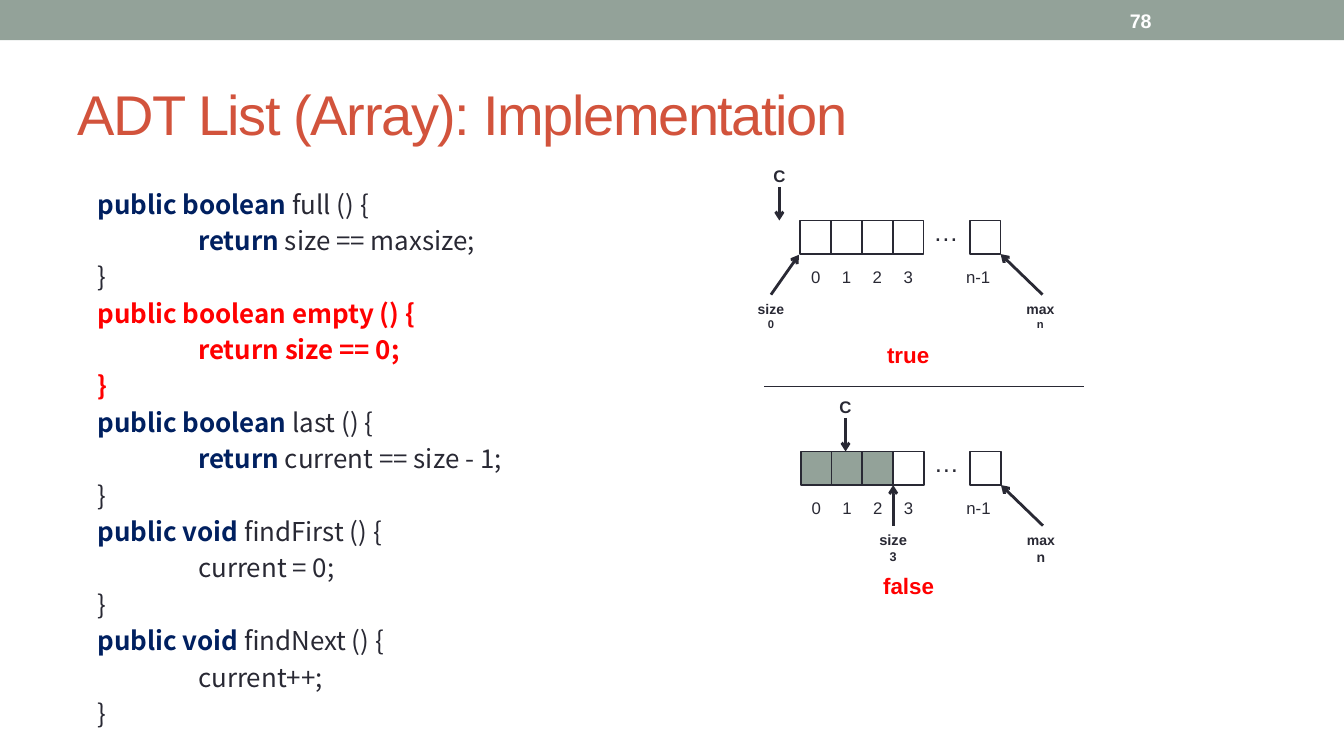
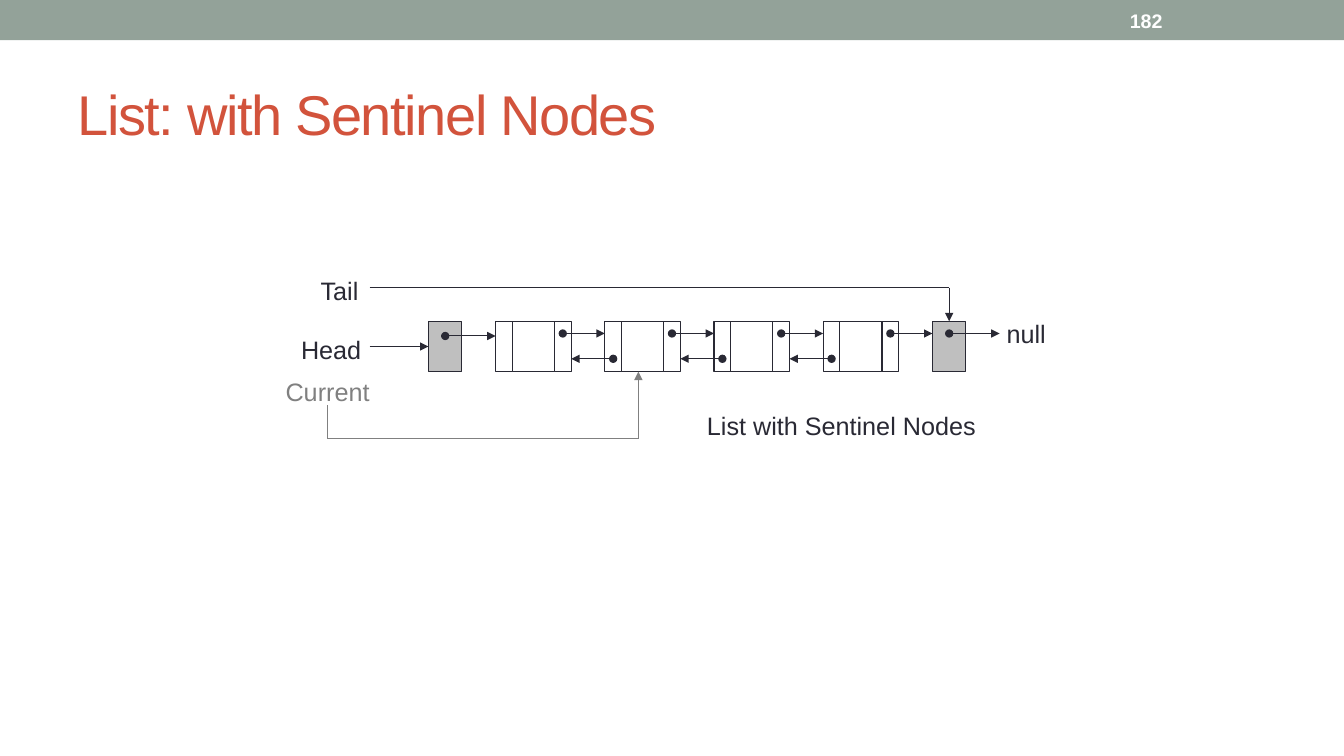
from dataclasses import dataclass
from itertools import pairwise

from lxml.etree import SubElement
from pptx import Presentation
from pptx.dml.color import RGBColor
from pptx.enum.shapes import MSO_CONNECTOR, MSO_SHAPE
from pptx.enum.text import MSO_ANCHOR, MSO_AUTO_SIZE, PP_ALIGN
from pptx.oxml.ns import qn
from pptx.util import Pt


@dataclass(frozen=True)
class Theme:
    ink: RGBColor = RGBColor.from_string("292934")
    sage: RGBColor = RGBColor.from_string("93A299")
    title: RGBColor = RGBColor.from_string("D2533C")
    keyword: RGBColor = RGBColor.from_string("002060")
    accent: RGBColor = RGBColor.from_string("FF0000")
    gray: RGBColor = RGBColor.from_string("808080")
    sentinel: RGBColor = RGBColor.from_string("BFBFBF")
    white: RGBColor = RGBColor.from_string("FFFFFF")
    font: str = "Arial"
    code_font: str = "Noto Sans CJK SC"
    title_size: float = 40
    code_size: float = 18.5
    code_pitch: float = 26
    node_size: float = 18
    verdict_size: float = 16
    number_size: float = 14
    index_size: float = 12
    thin: float = 0.75
    cell_line: float = 1.25
    thick: float = 2


THEME = Theme()


@dataclass(frozen=True)
class ArrayState:
    """One state of the array list; points are relative to its first cell."""
    filled: int
    current: float
    size_from: tuple
    size_to: tuple
    size_lines: list
    max_lines: list
    verdict: str


EMPTY = ArrayState(0, -15, (-21, 53), (-1, 24.5), [("size", 10), ("0", 8)],
                   [("max", 10), ("n", 8)], "true")
THREE = ArrayState(3, 32, (66, 53), (66, 24), [("size", 10.5), ("3", 9)],
                   [("max", 10), ("n", 10)], "false")

# Indent level, keyword, rest of the line
CODE = [
    (0, "public boolean ", "full () {"),
    (1, "return", " size == maxsize;"),
    (0, "", "}"),
    (0, "public boolean ", "empty () {"),
    (1, "return", " size == 0;"),
    (0, "", "}"),
    (0, "public boolean ", "last () {"),
    (1, "return", " current == size - 1;"),
    (0, "", "}"),
    (0, "public void ", "findFirst () {"),
    (1, "", "current = 0;"),
    (0, "", "}"),
    (0, "public void ", "findNext () {"),
    (1, "", "current++;"),
    (0, "", "}"),
]
HIGHLIGHTED = range(3, 6)


def place(shape, left, top, width, height):
    shape.left, shape.top = Pt(left), Pt(top)
    shape.width, shape.height = Pt(width), Pt(height)


def style(font, size, color, bold=False, name=THEME.font):
    font.size, font.name, font.bold = Pt(size), name, bold
    font.color.rgb = color


def add_rectangle(page, left, top, width, height, fill, weight=None):
    box = page.shapes.add_shape(MSO_SHAPE.RECTANGLE, Pt(left), Pt(top), Pt(width), Pt(height))
    box.shadow.inherit = False
    box.fill.solid()
    box.fill.fore_color.rgb = fill
    if weight:
        box.line.color.rgb = THEME.ink
        box.line.width = Pt(weight)
    else:
        box.line.fill.background()
    return box


def add_line(page, start, end, weight=THEME.thin, color=THEME.ink, head=None, tail=None, target=None):
    """Draw a line; target is an optional (shape, side) to which its end is joined."""
    line = page.shapes.add_connector(MSO_CONNECTOR.STRAIGHT, *(Pt(value) for value in start + end))
    line.line.color.rgb = color
    line.line.width = Pt(weight)
    for tag, kind in (("a:headEnd", head), ("a:tailEnd", tail)):
        if kind:
            SubElement(line.get_or_add_ln(), qn(tag), type=kind)
    SubElement(line.element.spPr, qn("a:effectLst"))
    if target:
        line.end_connect(*target)


def add_path(page, points, color=THEME.ink, target=None):
    """Draw straight segments through the points, with an arrowhead on the last."""
    *first, last = pairwise(points)
    for start, end in first:
        add_line(page, start, end, color=color)
    add_line(page, *last, color=color, tail="triangle", target=target)


def add_label(page, center, top, lines, color=THEME.ink, bold=False, width=60, align=PP_ALIGN.CENTER):
    """Write (text, size) lines in a box centred on the given abscissa."""
    height = sum(size * 1.15 for _, size in lines)
    box = page.shapes.add_textbox(Pt(center - width / 2), Pt(top), Pt(width), Pt(height))
    frame = box.text_frame
    frame.margin_left = frame.margin_right = frame.margin_top = frame.margin_bottom = 0
    frame.word_wrap = False
    frame.text = "\n".join(text for text, _ in lines)
    for para, (_, size) in zip(frame.paragraphs, lines):
        para.alignment = align
        style(para.font, size, color, bold)


def add_page(deck, layout, title, number):
    page = deck.slides.add_slide(deck.slide_layouts.get_by_name(layout))
    place(page.shapes.title, 48, 42, 864, 78)
    frame = page.shapes.title.text_frame
    frame.auto_size = MSO_AUTO_SIZE.NONE
    frame.vertical_anchor = MSO_ANCHOR.MIDDLE
    para = frame.paragraphs[0]
    para.alignment = PP_ALIGN.LEFT
    style(para.font, THEME.title_size, THEME.title)
    span = para.add_run()
    span.text = title
    span._r.get_or_add_rPr().set("spc", "-100")
    add_label(page, 860, 6.4, [(number, THEME.number_size)], THEME.white, True, 106, PP_ALIGN.LEFT)
    return page


def add_master_band(deck, page):
    """Draw the top band on a page and move it to the back of the master."""
    band = add_rectangle(page, 0, 0, 960, 28.8, THEME.sage)
    band.element.nvSpPr.cNvPr.set("id", "99")
    deck.slide_master.element.cSld.spTree.insert(2, band.element)


def fill_code(body):
    place(body, 48, 127, 864, 384)
    frame = body.text_frame
    frame.auto_size = MSO_AUTO_SIZE.NONE
    for index, (level, keyword, rest) in enumerate(CODE):
        para = frame.paragraphs[0] if index == 0 else frame.add_paragraph()
        properties = para._p.get_or_add_pPr()
        properties.set("marL", str(Pt(14.4 + 72 * level)))
        properties.set("indent", "0")
        SubElement(properties, qn("a:buNone"))
        para.space_before = Pt(0)
        para.line_spacing = Pt(THEME.code_pitch)
        marked = index in HIGHLIGHTED
        style(para.font, THEME.code_size, THEME.accent if marked else THEME.ink, marked, THEME.code_font)
        if keyword and not marked:
            span = para.add_run()
            span.text = keyword
            span.font.bold = True
            span.font.color.rgb = THEME.keyword
            keyword = ""
        para.add_run().text = keyword + rest


def draw_array(page, left, top, state):
    pitch, height, last = 22, 24, 121
    offsets = [pitch * index for index in range(4)] + [last]
    for index, offset in enumerate(offsets):
        fill = THEME.sage if index < state.filled else THEME.white
        add_rectangle(page, left + offset, top, pitch, height, fill, THEME.cell_line)
    for name, offset in zip(["0", "1", "2", "3"], offsets):
        add_label(page, left + offset + pitch / 2, top + 33, [(name, THEME.index_size)], width=pitch)
    add_label(page, left + last + 6, top + 33, [("n-1", THEME.index_size)], width=pitch)
    add_label(page, left + 104, top - 3, [("…", THEME.node_size)], width=pitch)

    def arrow(start, end):
        add_line(page, (left + start[0], top + start[1]), (left + end[0], top + end[1]),
                 THEME.thick, tail="arrow")

    arrow((state.current, -24), (state.current, 0))
    arrow(state.size_from, state.size_to)
    arrow((173, 53), (143, height))
    add_label(page, left + state.current, top - 39, [("C", THEME.index_size)], bold=True, width=pitch)
    add_label(page, left + state.size_from[0], top + 57, state.size_lines, bold=True, width=36)
    add_label(page, left + 171.5, top + 57, state.max_lines, bold=True, width=36)
    add_label(page, left + 77, top + 86, [(state.verdict, THEME.verdict_size)], THEME.accent, True)


def draw_linked_list(page, left, top):
    """Draw four double-linked nodes between two sentinels, from the head sentinel's corner."""
    height, pitch, sentinel, node_width, link = 36, 78, 24, 54, 12
    nodes = [left + 48 + pitch * index for index in range(4)]
    tail_left = nodes[-1] + pitch
    next_y, previous_y = top + 8.7, top + 26.8
    head_box, tail_box = (add_rectangle(page, x, top, sentinel, height, THEME.sentinel, THEME.thin)
                          for x in (left, tail_left))
    for node in nodes:
        for offset, width in ((0, link), (link, node_width - 2 * link), (node_width - link, link)):
            add_rectangle(page, node + offset, top, width, height, THEME.white, THEME.thin)

    for node in nodes:
        add_line(page, (node + 48, next_y), (node + pitch, next_y), head="oval", tail="triangle")
    for node in nodes[1:]:
        add_line(page, (node + 6, previous_y), (node - 24, previous_y), head="oval", tail="triangle")
    for x, y in ((left, top + 10.5), (tail_left, next_y)):
        add_line(page, (x + 12, y), (x + 48, y), head="oval", tail="triangle")

    pointer_x = left - 42
    middle = top + height / 2
    tail_middle = tail_left + sentinel / 2
    add_path(page, [(pointer_x, middle), (left, middle)], target=(head_box, 1))
    add_path(page, [(pointer_x, top - 24), (tail_middle, top - 24), (tail_middle, top)],
             target=(tail_box, 0))
    current_x, current_y, target_x = left - 72, top + 84, nodes[1] + 24
    add_path(page, [(current_x, top + 60), (current_x, current_y), (target_x, current_y),
                    (target_x, top + height)], THEME.gray)

    for text, x, y, color, width in (
        ("Tail", -63.5, -32.5, THEME.ink, 60),
        ("Head", -69.5, 9.5, THEME.ink, 60),
        ("Current", -72, 39.5, THEME.gray, 72),
        ("null", 427, -2, THEME.ink, 60),
        ("List with Sentinel Nodes", 295, 63.5, THEME.ink, 208),
    ):
        add_label(page, left + x, top + y, [(text, THEME.node_size)], color, width=width)


def build_array_page(deck):
    page = add_page(deck, "Title and Content", "ADT List (Array): Implementation", "78")
    fill_code(page.placeholders[1])
    draw_array(page, 571.7, 157.5, EMPTY)
    add_line(page, (546, 276), (774, 276))
    draw_array(page, 572, 322.5, THREE)
    return page


def build_sentinel_page(deck):
    page = add_page(deck, "Title Only", "List: with Sentinel Nodes", "182")
    draw_linked_list(page, 306, 229.5)


def main():
    deck = Presentation()
    deck.slide_width, deck.slide_height = Pt(960), Pt(540)
    add_master_band(deck, build_array_page(deck))
    build_sentinel_page(deck)
    deck.save("out.pptx")


if __name__ == "__main__":
    main()
